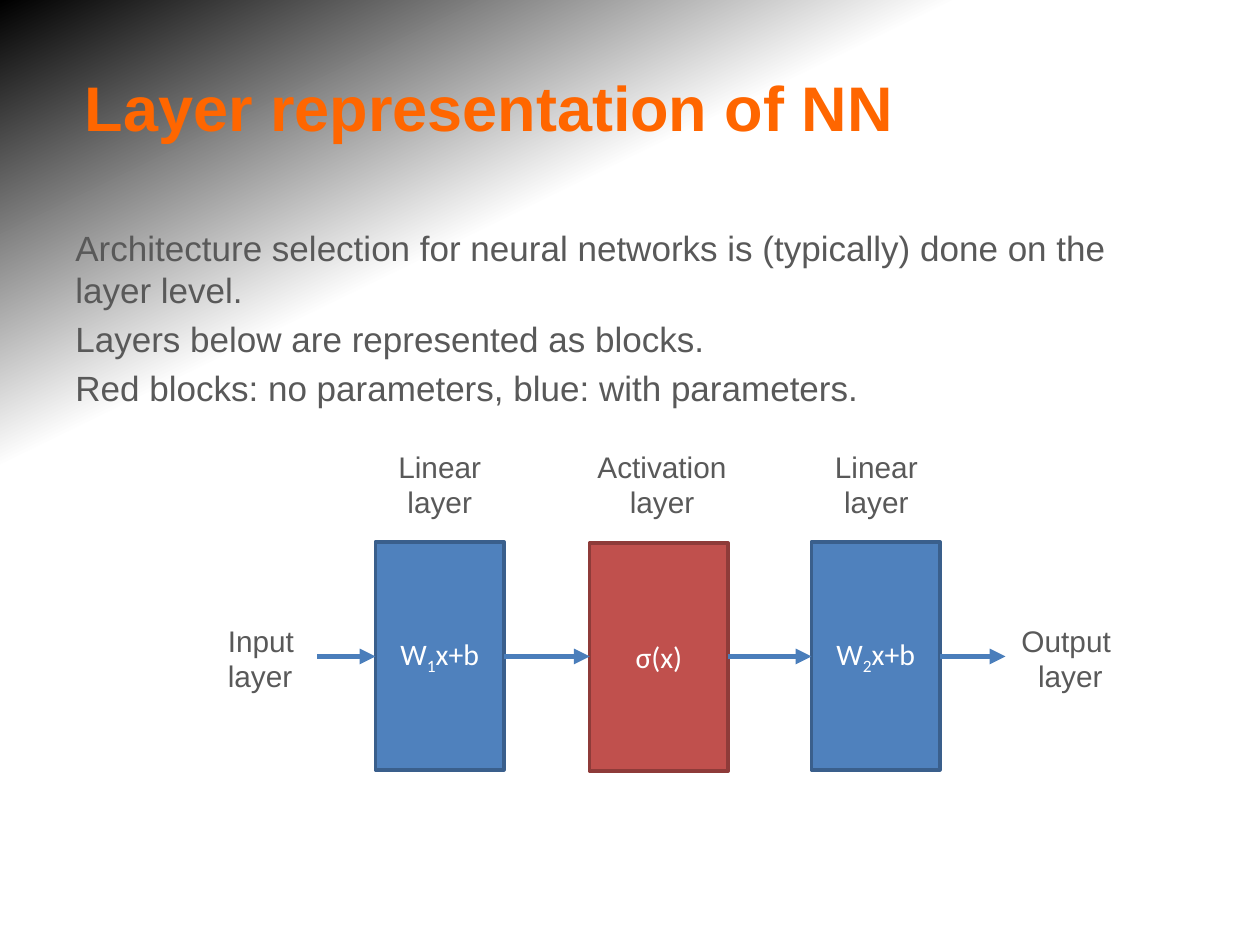
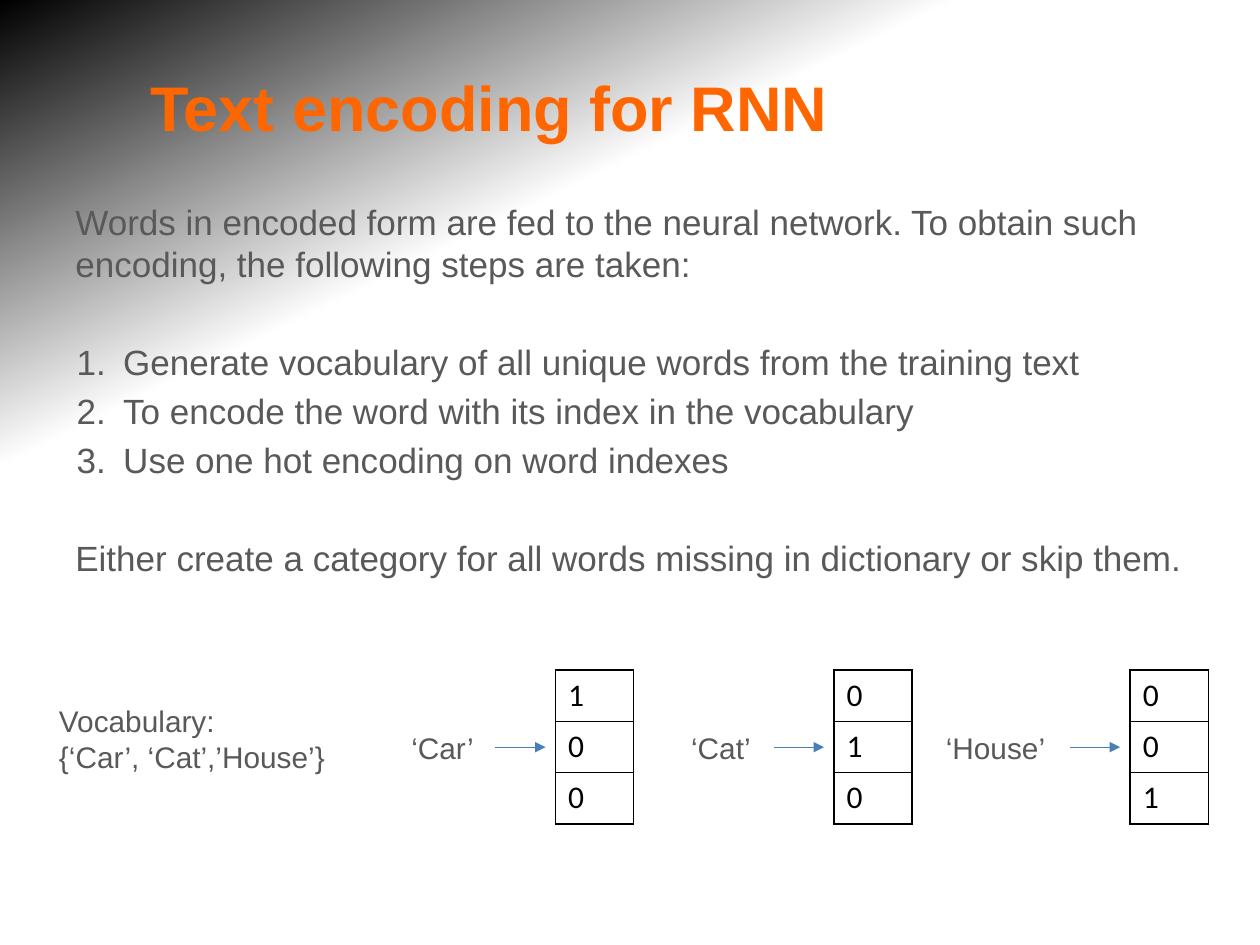
import pptx
import pptx.util
import pptx.dml.color
import pptx.enum.shapes
import pptx.enum.text
import pptx.oxml
import pptx.oxml.ns

# Content: lengths are grid units, the slide is 100 columns by 75 rows
NET = {
    "title": "Layer representation of NN",
    "top": 17.5, "rows": 15.8,
    "body": [
        ("Architecture selection for neural networks is (typically) done on the layer level.", {}),
        ("Layers below are represented as blocks.", {}),
        ("Red blocks: no parameters, blue: with parameters.", {}),
    ],
}
CODE = {
    "title": "Text encoding for RNN",
    "top": 15.4, "rows": 32,
    "body": [
        ("Words in encoded form are fed to the neural network. To obtain such "
         "encoding, the following steps are taken:", {}),
        ("Generate vocabulary of all unique words from the training text", {"num": True, "gap": True}),
        ("To encode the word with its index in the vocabulary", {"num": True}),
        ("Use one hot encoding on word indexes", {"num": True}),
        ("Either create a category for all words missing in dictionary or skip them.", {"gap": True}),
    ],
}
# Block: left, top, width, tone, runs as (text, is subscript)
BLOCKS = [
    (29.8, 43, 10.2, "blue", [("W", False), ("1", True), ("x+b", False)]),
    (46.8, 43.1, 11, "red", [("σ(x)", False)]),
    (64.4, 43, 10.2, "blue", [("W", False), ("2", True), ("x+b", False)]),
]
TALL, FLOW, START, END = 18.1, 52.1, 25.2, 79.8
# Label: lines, left, top, width, height, align
LABELS = [
    (["Input", "layer"], 17, 48.9, 8.2, 6.3, "LEFT"),
    (["Linear", "layer"], 25.8, 35.1, 18.1, 7.9, "CENTER"),
    (["Activation", "layer"], 45, 35.1, 15, 7.9, "CENTER"),
    (["Linear", "layer"], 64.4, 35.1, 10.2, 7.9, "CENTER"),
    (["Output ", "layer"], 79.8, 48.9, 10.2, 6.3, "CENTER"),
]
VOCAB = (["Vocabulary:", "{‘Car’, ‘Cat’,’House’}"], 3.6, 55.3, 27.8, 7.9, "LEFT")
# Word: text, left, width; its place in the list is its hot row
WORDS = [("‘Car’ ", 31.4, 7.9), ("‘Cat’ ", 53.5, 7.9), ("‘House’ ", 73.6, 11.3)]
MID, CELL, SIDE = 59.3, 4.07, 6.2

# Shared formats
TONES = {"blue": ("4F81BD", "3A5F8C"), "red": ("C0504D", "8E3B39")}
HEAD = {"name": "Arial", "size": 36, "bold": True, "color": "FF6600"}
BODY = {"name": "Arial", "size": 20, "color": "595959"}
NOTE = {"name": "Arial", "size": 17, "color": "595959"}
MATH = {"name": "Calibri", "size": 17, "color": "FFFFFF"}
DIGIT = {"name": "Calibri", "size": 18, "color": "000000"}
ARROW = "4A7EBB"

ALIGN = pptx.enum.text.PP_ALIGN
ANCHOR = pptx.enum.text.MSO_ANCHOR
NS = pptx.oxml.ns.nsdecls("a")


def unit(n):
    return pptx.util.Inches(round(n / 10, 3))


def tint(code):
    return pptx.dml.color.RGBColor.from_string(code)


def node(xml):
    return pptx.oxml.parse_xml(xml.replace(">", f" {NS}>", 1) if "/>" not in xml.split(">")[0] + ">"
                               else xml.replace("/>", f" {NS}/>", 1))


def style(run, form):
    for key, val in form.items():
        if key == "color":
            run.font.color.rgb = tint(val)
        else:
            setattr(run.font, key, pptx.util.Pt(val) if key == "size" else val)


def write(para, text, form):
    run = para.add_run()
    run.text = text
    style(run, form)
    return run


def hang(para):
    props = para._p.get_or_add_pPr()
    for key, val in {"marL": 3.8, "indent": -3.7}.items():
        props.set(key, str(unit(val)))
    return props


def paras(frame, count):
    return [frame.paragraphs[0]] + [frame.add_paragraph() for _ in range(count - 1)]


def box(slide, x, y, w, h, **form):
    frame = slide.shapes.add_textbox(*map(unit, (x, y, w, h))).text_frame
    for key, val in {"word_wrap": True, **form}.items():
        setattr(frame, key, val)
    return frame


def label(slide, lines, x, y, w, h, align, **form):
    frame = box(slide, x, y, w, h, **form)
    for para, line in zip(paras(frame, len(lines)), lines):
        para.alignment = ALIGN[align]
        hang(para)
        write(para, line, NOTE)


def arrow(slide, x, end, y, width):
    link = slide.shapes.add_connector(
        pptx.enum.shapes.MSO_CONNECTOR.STRAIGHT, unit(x), unit(y), unit(end), unit(y))
    link.line.color.rgb = tint(ARROW)
    link.line.width = pptx.util.Pt(width)
    link.line._get_or_add_ln().append(node('<a:tailEnd type="triangle"/>'))
    link._element.spPr.append(node("<a:effectLst/>"))


def block(slide, x, y, w, tone, runs):
    rect = slide.shapes.add_shape(
        pptx.enum.shapes.MSO_SHAPE.RECTANGLE, *map(unit, (x, y, w, TALL)))
    rect.shadow.inherit = False
    fill, edge = TONES[tone]
    rect.fill.solid()
    rect.fill.fore_color.rgb = tint(fill)
    rect.line.color.rgb = tint(edge)
    rect.line.width = pptx.util.Pt(2)
    rect.text_frame.vertical_anchor = ANCHOR.MIDDLE
    para = rect.text_frame.paragraphs[0]
    para.alignment = ALIGN.CENTER
    for text, low in runs:
        run = write(para, text, MATH)
        if low:
            run.font._element.set("baseline", "-25000")


def vector(slide, x, hot):
    size = len(WORDS)
    top = MID - CELL * size / 2
    grid = slide.shapes.add_table(size, 1, *map(unit, (x, top, SIDE, CELL * size))).table
    grid.first_row = grid.horz_banding = False
    for i in range(size):
        grid.rows[i].height = unit(CELL)
        cell = grid.cell(i, 0)
        write(cell.text_frame.paragraphs[0], str(int(i == hot)), DIGIT)
        props = cell._tc.get_or_add_tcPr()
        for side in "LRTB":
            props.append(node(f'<a:ln{side} w="12192"><a:solidFill><a:srgbClr val="000000"/>'
                              f'</a:solidFill></a:ln{side}>'))
        cell.fill.background()


def page(deck, data):
    slide = deck.slides.add_slide(deck.slide_layouts[6])
    frame = box(slide, 5, 3.3, 67.4, 10.3, vertical_anchor=ANCHOR.MIDDLE, margin_left=unit(1.2))
    frame.paragraphs[0].alignment = ALIGN.CENTER
    write(frame.paragraphs[0], data["title"], HEAD)
    frame = box(slide, 5, data["top"], 90, data["rows"])
    for para, (text, opts) in zip(paras(frame, len(data["body"])), data["body"]):
        para.space_before = pptx.util.Pt(32 if opts.get("gap") else 4)
        if opts.get("num"):
            hang(para).append(node('<a:buAutoNum type="arabicPeriod"/>'))
        write(para, text, BODY)
    return slide


def backdrop(deck):
    # Dark top left corner, set once on the master
    fill = deck.slide_master.background.fill
    fill.gradient()
    fill.gradient_angle = 360 - 244
    stops = fill._fill._gradFill.find(pptx.oxml.ns.qn("a:gsLst"))
    for old in list(stops):
        stops.remove(old)
    for pos, code, alpha in [(0, "FFFFFF", 100), (70, "FFFFFF", 100), (100, "000000", 41)]:
        stops.append(node(f'<a:gs pos="{pos * 1000}"><a:srgbClr val="{code}">'
                          f'<a:alpha val="{alpha * 1000}"/></a:srgbClr></a:gs>'))


def main():
    deck = pptx.Presentation()
    deck.slide_width, deck.slide_height = unit(100), unit(75)
    backdrop(deck)

    # Layers joined by arrows
    slide = page(deck, NET)
    for item in BLOCKS:
        block(slide, *item)
    tails = [START] + [x + w for x, _, w, *_ in BLOCKS]
    heads = [x for x, *_ in BLOCKS] + [END]
    for x, end in zip(tails, heads):
        arrow(slide, x, end, FLOW, 3)
    for item in LABELS:
        label(slide, *item)

    # Words and their one hot vectors
    slide = page(deck, CODE)
    label(slide, *VOCAB)
    for hot, (word, x, w) in enumerate(WORDS):
        label(slide, [word], x, MID - 2.45, w, 4.9, "CENTER", vertical_anchor=ANCHOR.MIDDLE)
        arrow(slide, x + w, x + w + 4, MID, 0.75)
        vector(slide, x + w + 4.8, hot)
    deck.save("out.pptx")


if __name__ == "__main__":
    main()
